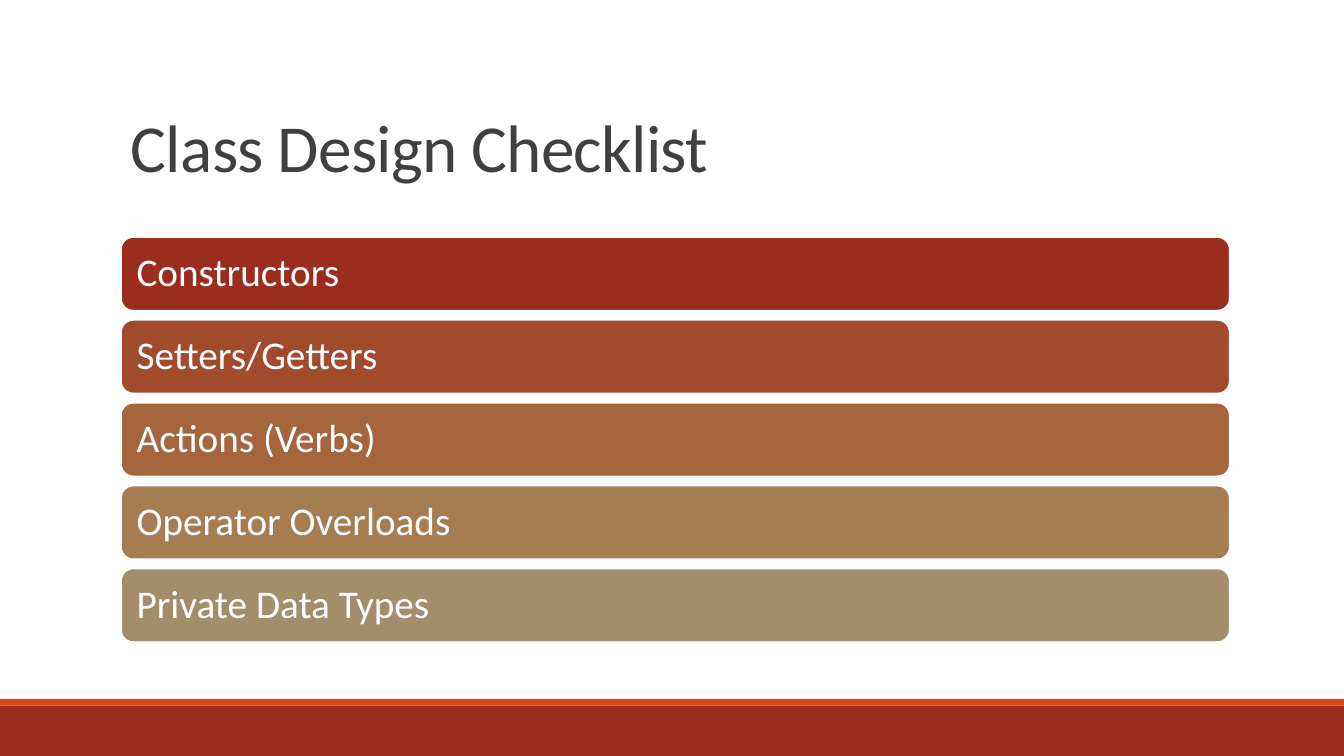
from dataclasses import dataclass

import pptx
import pptx.dml.color
import pptx.enum.shapes
import pptx.enum.text
import pptx.util

SLIDE_W = pptx.util.Inches(13.33)
SLIDE_H = pptx.util.Inches(7.5)
FONT = "Calibri"
WHITE = "FFFFFF"
BAR_TOP, BAR_HEIGHT, BAR_PITCH = 31.35, 9.75, 10.96
MARGIN, CONTENT_WIDTH = 9, 82.5


@dataclass(frozen=True)
class Box:
    """Position and size in percent of the slide."""
    left: float
    top: float
    width: float
    height: float

    def emu(self) -> tuple[int, int, int, int]:
        return (round(self.left * SLIDE_W / 100), round(self.top * SLIDE_H / 100),
                round(self.width * SLIDE_W / 100), round(self.height * SLIDE_H / 100))


@dataclass(frozen=True)
class Band:
    box: Box
    fill: str


@dataclass(frozen=True)
class Item:
    label: str
    fill: str


BANDS = [
    Band(Box(0, 93.33, 100, 6.67), "9B2D1F"),
    Band(Box(0, 92.44, 100, 0.89), "D34817"),
]
ITEMS = [
    Item("Constructors", "9B2D1F"),
    Item("Setters/Getters", "A14A2E"),
    Item("Actions (Verbs)", "A4653F"),
    Item("Operator Overloads", "A67D52"),
    Item("Private Data Types", "A28E6A"),
]


def color(value: str) -> pptx.dml.color.RGBColor:
    return pptx.dml.color.RGBColor.from_string(value)


def add_filled(s, kind, box: Box, fill: str):
    sp = s.shapes.add_shape(kind, *box.emu())
    sp.shadow.inherit = False
    sp.fill.solid()
    sp.fill.fore_color.rgb = color(fill)
    sp.line.fill.background()
    return sp


def set_text(sp, text: str, size: float, fill: str, spacing: float, anchor):
    tf = sp.text_frame
    tf.text = text
    tf.word_wrap = True
    tf.vertical_anchor = anchor
    p = tf.paragraphs[0]
    p.alignment = pptx.enum.text.PP_ALIGN.LEFT
    p.line_spacing = spacing
    r = p.runs[0]
    r.font.name = FONT
    r.font.size = pptx.util.Pt(size)
    r.font.color.rgb = color(fill)
    return r


def add_band(s, band: Band) -> None:
    add_filled(s, pptx.enum.shapes.MSO_SHAPE.RECTANGLE, band.box, band.fill)


def add_title(s, text: str) -> None:
    sp = s.shapes.add_textbox(*Box(MARGIN, 4.13, CONTENT_WIDTH, 21.2).emu())
    r = set_text(sp, text, 48, "404040", 0.85, pptx.enum.text.MSO_ANCHOR.BOTTOM)
    r.font._element.set("spc", "-50")


def add_item(s, row: int, item: Item) -> None:
    box = Box(MARGIN, BAR_TOP + row * BAR_PITCH, CONTENT_WIDTH, BAR_HEIGHT)
    sp = add_filled(s, pptx.enum.shapes.MSO_SHAPE.ROUNDED_RECTANGLE, box, item.fill)
    sp.line.color.rgb = color(WHITE)
    sp.line.width = pptx.util.Pt(1.25)
    tf = sp.text_frame
    inset = pptx.util.Inches(0.12)
    tf.margin_left = tf.margin_right = tf.margin_top = tf.margin_bottom = inset
    set_text(sp, item.label, 28, WHITE, 0.9, pptx.enum.text.MSO_ANCHOR.MIDDLE)


def main() -> None:
    prs = pptx.Presentation()
    prs.slide_width, prs.slide_height = SLIDE_W, SLIDE_H
    s = prs.slides.add_slide(prs.slide_layouts[6])
    for band in BANDS:
        add_band(s, band)
    add_title(s, "Class Design Checklist")
    for row, item in enumerate(ITEMS):
        add_item(s, row, item)
    prs.save("out.pptx")


if __name__ == "__main__":
    main()
